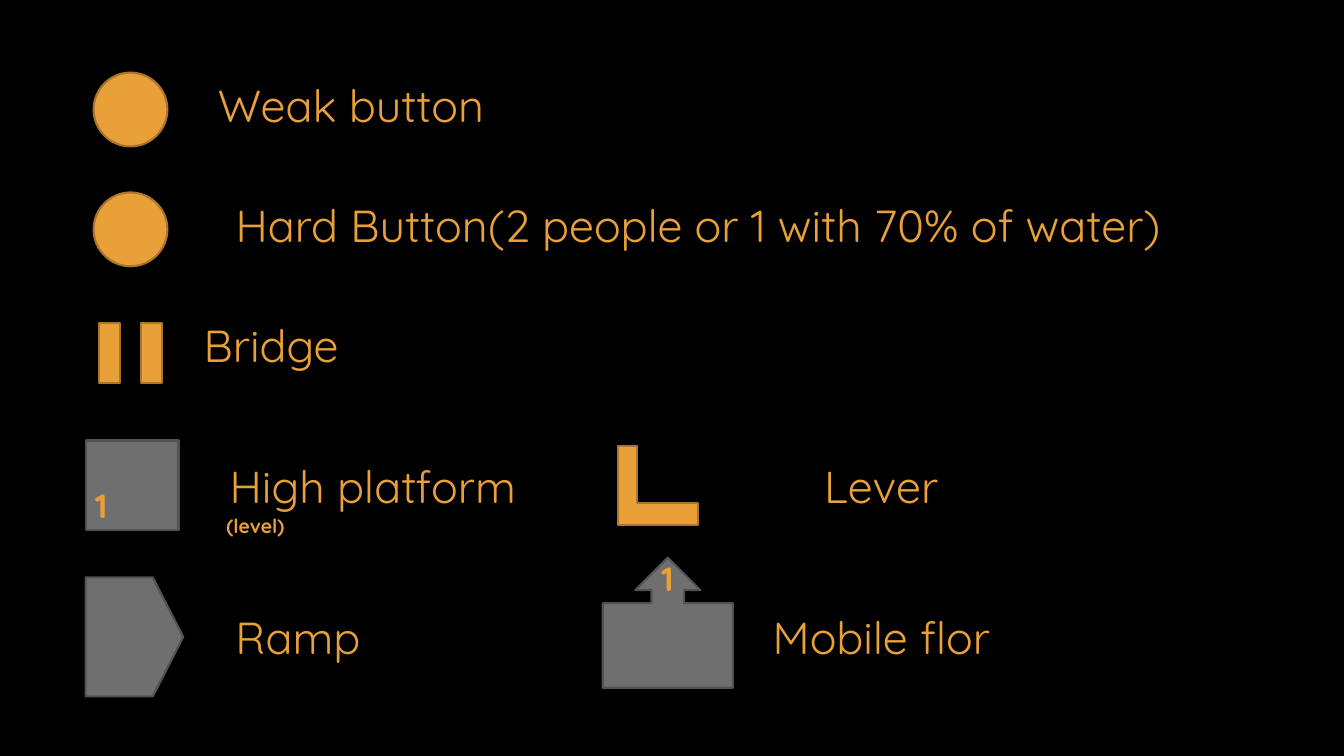
from dataclasses import dataclass

from pptx import Presentation
from pptx import util as u
from pptx.dml.color import RGBColor
from pptx.enum import shapes, text

FONT = "Quicksand"
BLACK, ORANGE, DARK_ORANGE = "000000", "E9A039", "AC762A"
GREY, DARK_GREY = "6F6F6F", "525252"
OUTLINES = {ORANGE: DARK_ORANGE, GREY: DARK_GREY}
LABEL_HEIGHTS = {32: 1.63, 24: 1.27, 14: 0.86}
Preset = shapes.MSO_SHAPE


@dataclass
class Symbol:
    preset: Preset
    left: float
    top: float
    width: float
    height: float
    fill: str
    adjustments: tuple[float, ...] = ()
    rotation: float = 0


@dataclass
class Label:
    wording: str
    left: float
    top: float
    width: float
    size: int = 32
    bold: bool = False


SYMBOLS = [
    Symbol(Preset.OVAL, 2.36, 1.83, 1.86, 1.86, ORANGE),
    Symbol(Preset.OVAL, 2.36, 4.85, 1.86, 1.86, ORANGE),
    Symbol(Preset.MATH_EQUAL, 2.26, 7.8, 2.06, 2.21, ORANGE, (0.235, 0.243), 270),
    Symbol(Preset.RECTANGLE, 2.16, 11.1, 2.34, 2.26, GREY),
    Symbol(Preset.PENTAGON, 2.16, 14.55, 2.46, 3, GREY, (0.313,)),
    Symbol(Preset.CORNER, 15.57, 11.23, 2.01, 2.01, ORANGE, (0.283, 0.245)),
    Symbol(Preset.UP_ARROW_CALLOUT, 15.19, 14.05, 3.28, 3.28, GREY),
]

LABELS = [
    Label("Weak button", 5, 1.83, 7.7),
    Label("Hard Button(2 people or 1 with 70% of water)", 4.65, 4.85, 25.91),
    Label("Bridge", 4.83, 7.87, 4.01),
    Label("High platform", 5.41, 11.43, 7.98),
    Label("Lever", 20.47, 11.43, 3.48),
    Label("Ramp", 5.59, 15.24, 3.84),
    Label("Mobile flor", 19.08, 15.24, 6.27),
    Label("1", 2.06, 12.09, 0.99, 24, True),
    Label("1", 16.33, 13.94, 0.99, 24, True),
    Label("(level)", 5.41, 12.83, 2.06, 14, True),
]


def paint(fill, color: str) -> None:
    fill.solid()
    fill.fore_color.rgb = RGBColor.from_string(color)


def draw_symbol(slide, symbol: Symbol) -> None:
    shape = slide.shapes.add_shape(
        symbol.preset, u.Cm(symbol.left), u.Cm(symbol.top),
        u.Cm(symbol.width), u.Cm(symbol.height))
    shape.shadow.inherit = False
    shape.rotation = symbol.rotation
    for index, value in enumerate(symbol.adjustments):
        shape.adjustments[index] = value
    paint(shape.fill, symbol.fill)
    paint(shape.line.fill, OUTLINES[symbol.fill])
    shape.line.width = u.Pt(1.5)


def draw_label(slide, label: Label) -> None:
    box = slide.shapes.add_textbox(
        u.Cm(label.left), u.Cm(label.top),
        u.Cm(label.width), u.Cm(LABEL_HEIGHTS[label.size]))
    frame = box.text_frame
    frame.text = label.wording
    frame.word_wrap = False
    frame.auto_size = text.MSO_AUTO_SIZE.SHAPE_TO_FIT_TEXT
    paragraph = frame.paragraphs[0]
    paragraph.alignment = text.PP_ALIGN.CENTER
    font = paragraph.runs[0].font
    font.name = FONT
    font.size = u.Pt(label.size)
    font.bold = label.bold
    paint(font.fill, ORANGE)


def main() -> None:
    deck = Presentation()
    deck.slide_width, deck.slide_height = u.Cm(33.87), u.Cm(19.05)
    slide = deck.slides.add_slide(deck.slide_layouts[6])
    paint(slide.background.fill, BLACK)

    # Legend symbols
    for symbol in SYMBOLS:
        draw_symbol(slide, symbol)

    # Names and level numbers
    for label in LABELS:
        draw_label(slide, label)

    deck.save("out.pptx")


if __name__ == "__main__":
    main()
